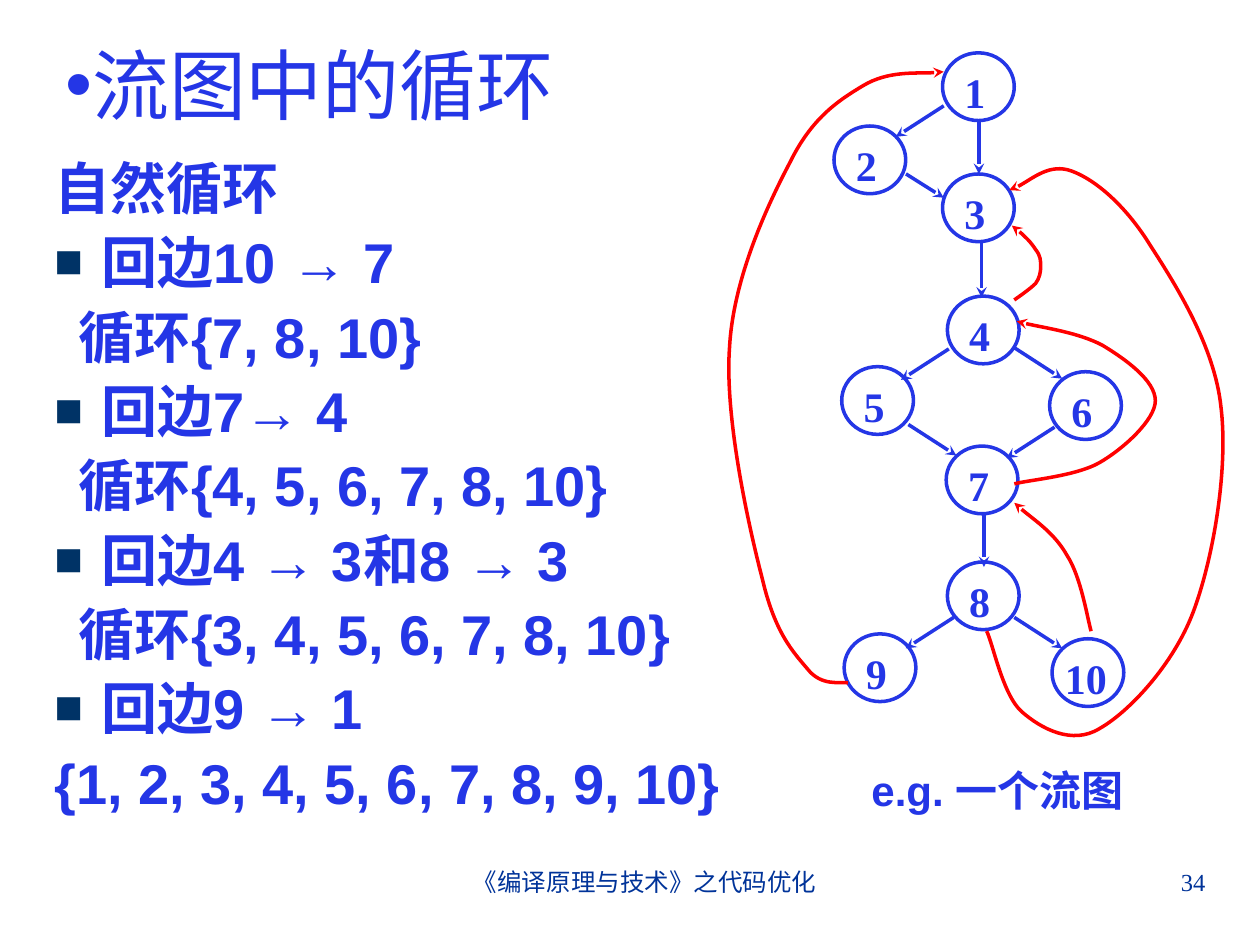
"""Build the slide on natural loops in a flow graph."""
from dataclasses import dataclass

from lxml import etree
from pptx import Presentation
from pptx.dml.color import RGBColor
from pptx.enum.shapes import MSO_CONNECTOR, MSO_SHAPE
from pptx.enum.text import MSO_ANCHOR, MSO_AUTO_SIZE, PP_ALIGN
from pptx.oxml.ns import qn
from pptx.util import Pt

ELLIPSE, STRAIGHT = MSO_SHAPE.OVAL, MSO_CONNECTOR.STRAIGHT
TOP, MIDDLE = MSO_ANCHOR.TOP, MSO_ANCHOR.MIDDLE
LEFT, CENTER, RIGHT = PP_ALIGN.LEFT, PP_ALIGN.CENTER, PP_ALIGN.RIGHT
JUSTIFY, FIXED = PP_ALIGN.JUSTIFY, MSO_AUTO_SIZE.NONE


@dataclass(frozen=True)
class Theme:
    ink: str = "2436E6"
    back_edge: str = "FF0000"
    marker: str = "003366"
    footer: str = "003399"
    sans: str = "Arial"
    serif: str = "Times New Roman"
    chinese: str = "Noto Sans CJK SC"
    title_size: int = 44
    body_size: int = 32
    label_size: int = 24
    footer_size: int = 14
    line_width: float = 2


class Sketch:
    def __init__(self, page, theme):
        self.page, self.theme = page, theme
        self.shapes = page.shapes

    def start_group(self):
        self.shapes = self.page.shapes.add_group_shape().shapes

    def end_group(self):
        self.shapes = self.page.shapes

    def frame(self, shape, insets=(7.2, 3.6, 7.2, 3.6), anchor=TOP):
        frame = shape.text_frame
        frame.word_wrap, frame.auto_size = True, FIXED
        frame.vertical_anchor = anchor
        frame.margin_left, frame.margin_top, frame.margin_right, frame.margin_bottom = map(Pt, insets)
        return frame

    def fill_para(self, para, *spans, size, font=None, color=None, bold=False, align=LEFT,
                  before=0, line=None, margin=0, indent=0, bullet=None, bullet_color=None, bullet_size=100):
        para.alignment, para.space_before = align, Pt(before)
        if line:
            para.line_spacing = Pt(line)
        for text in spans:
            span = para.add_run()
            span.text = text
            span.font.size, span.font.bold = Pt(size), bold
            span.font.name = font or self.theme.sans
            span.font.color.rgb = RGBColor.from_string(color or self.theme.ink)
            etree.SubElement(span.font._element, qn("a:ea"), typeface=self.theme.chinese)
        properties = para._p.get_or_add_pPr()
        properties.set("marL", str(Pt(margin)))
        properties.set("indent", str(Pt(indent)))
        if bullet:
            tint = etree.SubElement(properties, qn("a:buClr"))
            etree.SubElement(tint, qn("a:srgbClr"), val=bullet_color or self.theme.ink)
            etree.SubElement(properties, qn("a:buSzPct"), val=str(bullet_size * 1000))
            etree.SubElement(properties, qn("a:buFont"), typeface=self.theme.sans)
            etree.SubElement(properties, qn("a:buChar"), char=bullet)
        else:
            etree.SubElement(properties, qn("a:buNone"))

    def title(self, text, left, top, width, height):
        box = self.page.shapes.title
        box.left, box.top, box.width, box.height = map(Pt, (left, top, width, height))
        self.fill_para(self.frame(box, anchor=MIDDLE).paragraphs[0], text, size=self.theme.title_size,
                       font=self.theme.chinese, bullet="•")

    def textbox(self, left, top, width, height):
        return self.frame(self.shapes.add_textbox(Pt(left), Pt(top), Pt(width), Pt(height)))

    def text(self, text, bounds, **style):
        self.fill_para(self.textbox(*bounds).paragraphs[0], text, **style)

    def outline(self, shape, color, arrow=True):
        shape.line.color.rgb = RGBColor.from_string(color)
        shape.line.width = Pt(self.theme.line_width)
        if arrow:
            etree.SubElement(shape.line._get_or_add_ln(), qn("a:tailEnd"), type="stealth")

    def node(self, label, left, top):
        circle = self.shapes.add_shape(ELLIPSE, Pt(left), Pt(top), Pt(41), Pt(38.7))
        circle.shadow.inherit = False
        circle.fill.background()
        self.outline(circle, self.theme.ink, arrow=False)
        side = 6.5 if len(label) == 1 else 1.4
        self.fill_para(self.frame(circle, (side, 2.2, side, 3.6)).paragraphs[0], label,
                       size=self.theme.label_size, font=self.theme.serif, bold=True, align=JUSTIFY)

    def edge(self, left, top, across, down):
        arrow = self.shapes.add_connector(STRAIGHT, Pt(left), Pt(top), Pt(left + across), Pt(top + down))
        self.outline(arrow, self.theme.ink)
        etree.SubElement(arrow._element.spPr, qn("a:effectLst"))

    def curve(self, start, *points):
        builder = self.shapes.build_freeform(Pt(start[0]), Pt(start[1]))
        builder.add_line_segments([(Pt(x), Pt(y)) for x, y in points], close=False)
        shape = builder.convert_to_shape()
        shape.shadow.inherit = False
        shape.fill.background()
        self.outline(shape, self.theme.back_edge)
        segments = shape._element.xpath(".//a:lnTo")
        for first in range(0, len(segments), 3):
            trio = segments[first:first + 3]
            bend = etree.Element(qn("a:cubicBezTo"))
            trio[0].addprevious(bend)
            for segment in trio:
                bend.append(segment[0])
                segment.getparent().remove(segment)


THEME = Theme()
LOOPS = [
    ("10 → 7", "循环{7, 8, 10}"),
    ("7→ 4", "循环{4, 5, 6, 7, 8, 10}"),
    ("4 → 3和8 → 3", "循环{3, 4, 5, 6, 7, 8, 10}"),
    ("9 → 1", "{1, 2, 3, 4, 5, 6, 7, 8, 9, 10}"),
]
NODES = [(538.6, 30.2), (476.6, 72), (538.6, 99.4), (541.4, 169.2), (481, 209.5),
         (599.8, 212.4), (540.7, 254.9), (541.4, 321.1), (482.4, 362.2), (601.2, 365)]
EDGES = {
    (-27.4, 17.7): [(539.3, 60.5), (542.2, 199.4), (602.6, 244.1), (545, 352.8)],
    (27.4, 17.7): [(579.6, 198.7), (519.1, 242.6), (579.6, 352.8)],
    (21.6, 13.6): [(517.7, 99.4)],
    (0, 31): [(559.4, 68.4), (560.9, 139), (562.3, 293)],
}
BACK_EDGES = [
    [(579.6, 276.5), (587.5, 274.3), (614.9, 272.2), (628.6, 264.2), (642.2, 256.3), (660.2, 239.8),
     (660.2, 229), (660.2, 217.4), (643, 205.2), (630, 197.3), (616.3, 190.1), (591.1, 186.5), (581, 183.6)],
    [(484.6, 390.2), (480.2, 389.5), (469.4, 392.4), (461.5, 382.3), (452.9, 372.2), (442.8, 361.4),
     (435.6, 330.5), (427.7, 300.2), (414, 238.3), (416.9, 198.7), (419, 159.1), (438.5, 117.4),
     (451.4, 92.9), (463.7, 67.7), (478.8, 57.6), (493.2, 49), (507.6, 40.3), (529.9, 42.5), (539.3, 41)],
    [(563.8, 360.7), (567.4, 367.9), (573.1, 397.4), (583.9, 406.8), (594.7, 416.2), (612.7, 426.2),
     (628.6, 416.2), (645.1, 406.8), (670.3, 380.2), (681.8, 349.9), (693.4, 319), (702, 267.8),
     (697.7, 232.6), (694.1, 198), (671.8, 162.7), (657.4, 140.4), (643.7, 118.1), (626.4, 103),
     (612.7, 97.9), (599.8, 92.9), (584.6, 106.6), (576.7, 108.7)],
    [(579.6, 171.4), (581.8, 169.9), (589, 164.9), (591.8, 162), (594, 159.1), (594.7, 155.5),
     (594.7, 152.6), (594.7, 149), (594.7, 146.2), (591.8, 142.6), (589, 138.2), (582.5, 131.8), (578.2, 128.9)],
    [(623.5, 360.7), (621.4, 353.5), (617.8, 329.8), (609.8, 317.5), (602.6, 304.6), (586.1, 293.8), (579.6, 287.3)],
]

deck = Presentation()
deck.slide_width, deck.slide_height = Pt(720), Pt(540)
page = deck.slides.add_slide(deck.slide_layouts[5])
sketch = Sketch(page, THEME)

sketch.title("流图中的循环", 30, 18, 648, 60)
body = sketch.textbox(24, 84, 678, 408)
body_style = {"size": THEME.body_size, "bold": True, "before": 4, "line": 38.5}
sketch.fill_para(body.paragraphs[0], "自然循环", **body_style)
for back_edge, loop in LOOPS:
    sketch.fill_para(body.add_paragraph(), "回边", back_edge, margin=27, indent=-27, bullet="■",
                     bullet_color=THEME.marker, bullet_size=85, **body_style)
    sketch.fill_para(body.add_paragraph(), loop, margin=14 if loop.startswith("循环") else 0, **body_style)

sketch.start_group()
for number, place in enumerate(NODES, 1):
    sketch.node(str(number), *place)
for step, starts in EDGES.items():
    for start in starts:
        sketch.edge(*start, *step)
for points in BACK_EDGES:
    sketch.curve(*points)
sketch.end_group()

sketch.text("e.g. 一个流图", (438, 433.5, 264, 36), size=THEME.label_size, bold=True, align=CENTER, before=15)
footer_style = {"size": THEME.footer_size, "font": THEME.serif, "color": THEME.footer, "margin": 17}
sketch.text("《编译原理与技术》之代码优化", (246, 492, 228, 37.5), align=CENTER, **footer_style)
sketch.text("34", (516, 492, 180, 37.5), align=RIGHT, **footer_style)

deck.save("out.pptx")
